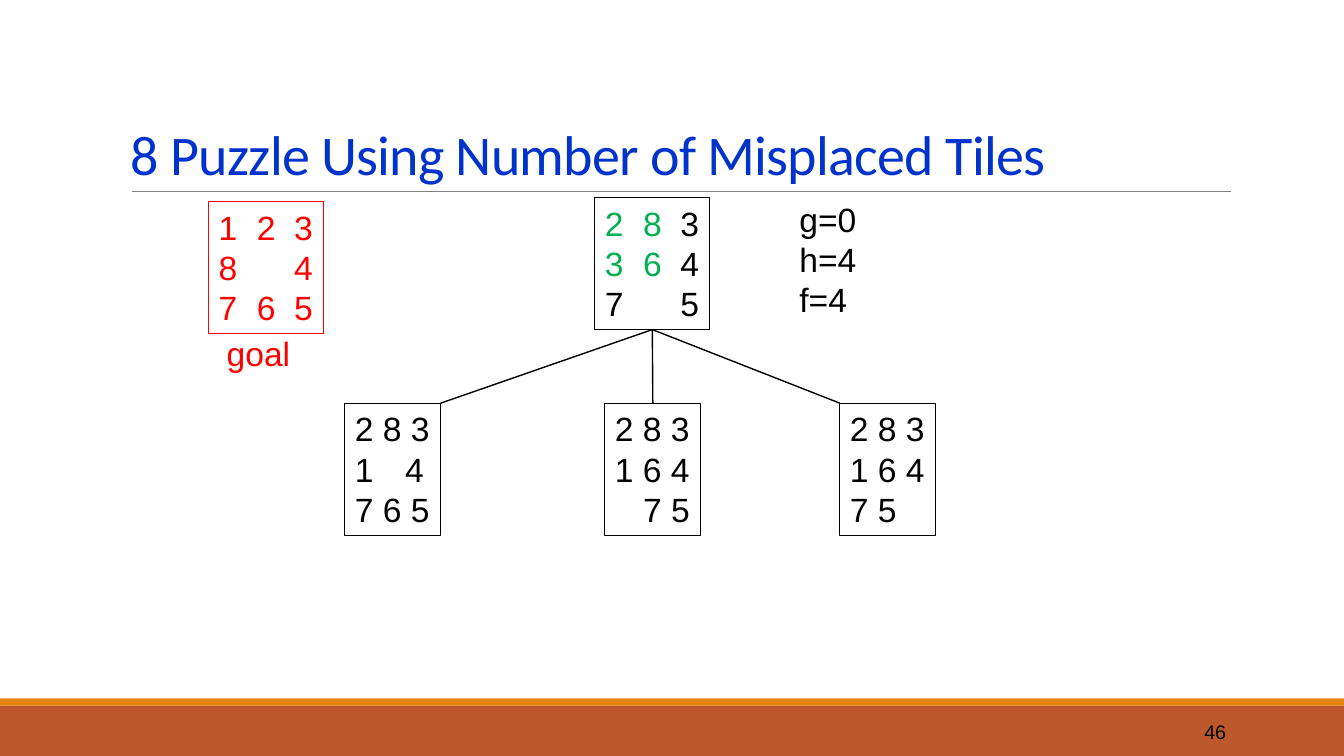
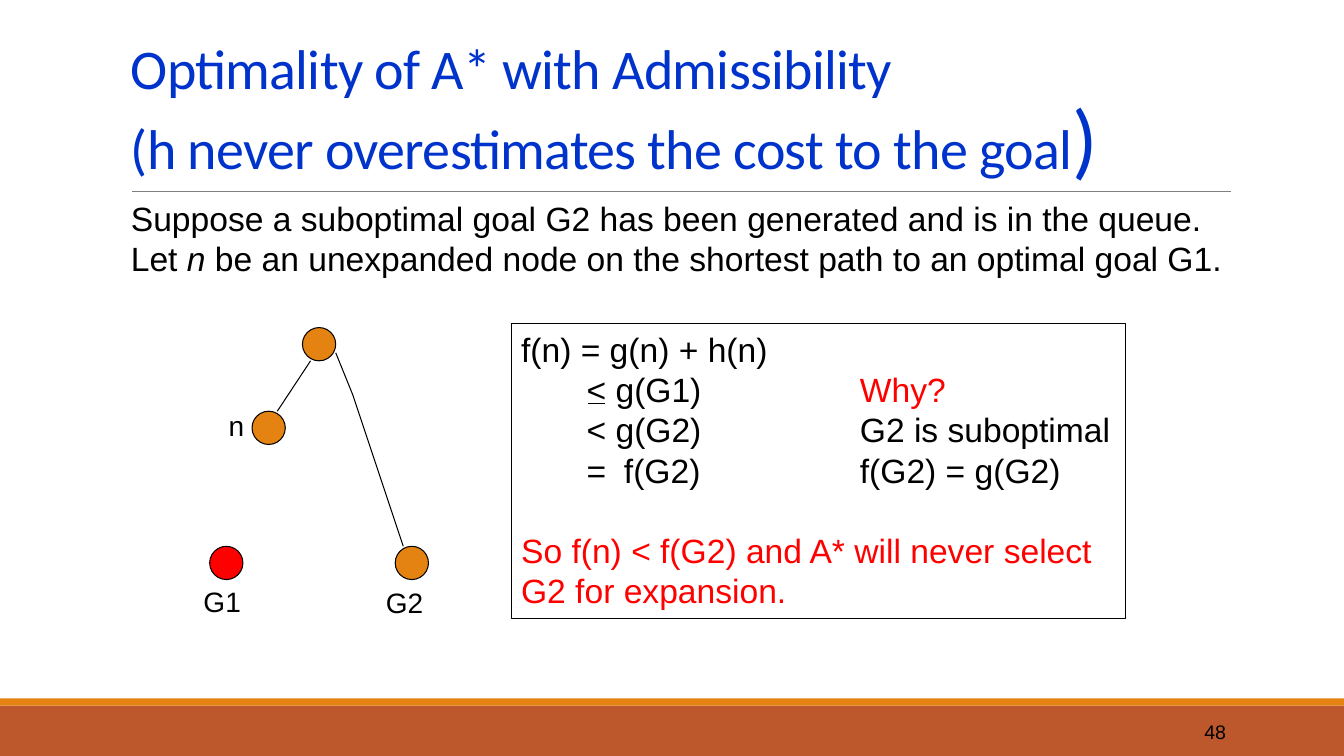
from dataclasses import dataclass

from lxml.etree import SubElement
from pptx import Presentation
from pptx.dml.color import RGBColor
from pptx.enum.shapes import MSO_CONNECTOR, MSO_SHAPE
from pptx.enum.text import MSO_ANCHOR, PP_ALIGN
from pptx.oxml.ns import qn
from pptx.util import Inches, Pt

BLACK = RGBColor(0x00, 0x00, 0x00)
RED = RGBColor(0xFF, 0x00, 0x00)
GREEN = RGBColor(0x00, 0xB0, 0x50)
BLUE = RGBColor(0x00, 0x33, 0xCC)
GREY = RGBColor(0x80, 0x80, 0x80)
RUST = RGBColor(0xBD, 0x58, 0x2C)
ORANGE = RGBColor(0xE4, 0x83, 0x12)

SLIDE_WIDTH, SLIDE_HEIGHT = 13.33, 7.5
WIDE_BOARD, NARROW_BOARD, BOARD_HEIGHT = 1.14, 0.95, 1.31
WIDE_STOPS = (0.38, 0.75)
NODE_SIZE = 0.33


@dataclass
class Piece:
    """A stretch of text with its own look."""
    text: str
    color: RGBColor = BLACK
    italic: bool = False
    size: float = 0


def add_text(slide, box, lines, size=24, font="Arial", outline=None, stops=(),
             anchor=MSO_ANCHOR.TOP, align=PP_ALIGN.LEFT):
    """Add a text box with one paragraph per line and return its shape."""
    shape = slide.shapes.add_textbox(*map(Inches, box))
    if outline is not None:
        shape.line.color.rgb = outline
        shape.line.width = Pt(0.75)
    frame = shape.text_frame
    frame.word_wrap = True
    frame.vertical_anchor = anchor
    if align == PP_ALIGN.LEFT:
        frame.margin_right = 0
    for index, line in enumerate(lines):
        paragraph = frame.add_paragraph() if index else frame.paragraphs[0]
        paragraph.alignment = align
        for piece in line:
            run = paragraph.add_run()
            run.text = piece.text
            run.font.name = font
            run.font.size = Pt(piece.size or size)
            run.font.italic = piece.italic
            run.font.color.rgb = piece.color
        if stops:
            tab_list = SubElement(paragraph._p.get_or_add_pPr(), qn("a:tabLst"))
            for stop in stops:
                SubElement(tab_list, qn("a:tab"), pos=str(Inches(stop)), algn="l")
    return shape


def add_line(slide, start, end, color=BLACK, width=0.75):
    """Draw a straight line between two points."""
    line = slide.shapes.add_connector(MSO_CONNECTOR.STRAIGHT, *map(Inches, (*start, *end)))
    line.line.color.rgb = color
    line.line.width = Pt(width)
    SubElement(line._element.spPr, qn("a:effectLst"))


def add_solid(slide, kind, box, fill, outline=None):
    """Draw a filled shape, outlined only if a colour is given."""
    shape = slide.shapes.add_shape(kind, *map(Inches, box))
    shape.shadow.inherit = False
    shape.fill.solid()
    shape.fill.fore_color.rgb = fill
    if outline is None:
        shape.line.fill.background()
    else:
        shape.line.color.rgb = outline
        shape.line.width = Pt(0.75)


def add_base_slide(presentation, title_lines, number):
    """Add a blank slide with bands, title, rule and slide number."""
    slide = presentation.slides.add_slide(presentation.slide_layouts[6])
    add_solid(slide, MSO_SHAPE.RECTANGLE, (0, 7, SLIDE_WIDTH, 0.5), RUST)
    add_solid(slide, MSO_SHAPE.RECTANGLE, (0, 6.93, SLIDE_WIDTH, 0.07), ORANGE)
    add_line(slide, (1.31, 1.9), (12.21, 1.9), GREY, 0.5)
    title = add_text(slide, (1.2, 0.31, 11, 1.59), title_lines, 40, "Calibri",
                     anchor=MSO_ANCHOR.BOTTOM)
    for paragraph in title.text_frame.paragraphs:
        paragraph.line_spacing = 0.85
        for run in paragraph.runs:
            run.font.color.rgb = BLUE
            run.font._element.set("spc", "-50")
    add_text(slide, (10.83, 7.06, 1.43, 0.4), [[Piece(str(number))]], 14,
             anchor=MSO_ANCHOR.MIDDLE, align=PP_ALIGN.RIGHT)
    return slide


def add_goal(slide, left, top):
    """Place the goal board and its caption."""
    rows = [[Piece(row, RED)] for row in ("1\t2\t3", "8\t\t4", "7\t6\t5")]
    add_text(slide, (left, top, WIDE_BOARD, BOARD_HEIGHT), rows, outline=RED, stops=WIDE_STOPS)
    add_text(slide, (left + 0.08, top + 1.25, 0.83, 0.5), [[Piece("goal", RED)]])


def add_search_tree(slide, left, top):
    """Place the start board, its costs and its three successors."""
    root_left = left + 2.48
    start_rows = [
        [Piece("2\t8", GREEN), Piece("\t3")],
        [Piece("3\t6", GREEN), Piece("\t4")],
        [Piece("7\t\t5")],
    ]
    add_text(slide, (root_left, top, WIDE_BOARD, BOARD_HEIGHT), start_rows,
             outline=BLACK, stops=WIDE_STOPS)
    costs = [[Piece(cost)] for cost in ("g=0", "h=4", "f=4")]
    add_text(slide, (left + 4.41, top - 0.04, 0.77, BOARD_HEIGHT), costs)

    root_bottom = (root_left + WIDE_BOARD / 2, top + BOARD_HEIGHT)
    child_top = top + 2.04
    successors = [
        (0, ("2 8 3", "1\t4", "7 6 5"), 0.5, 1),
        (2.58, ("2 8 3", "1 6 4", "\t7 5"), 0.28, 0.5),
        (4.91, ("2 8 3", "1 6 4", "7 5"), 0.28, 0),
    ]
    for offset, rows, stop, joint in successors:
        child_left = left + offset
        add_text(slide, (child_left, child_top, NARROW_BOARD, BOARD_HEIGHT),
                 [[Piece(row)] for row in rows], outline=BLACK, stops=(stop,))
        add_line(slide, root_bottom, (child_left + joint * NARROW_BOARD, child_top), width=1)


def add_goal_paths(slide, left, top):
    """Place the tree with node n and the goals G1 and G2."""
    for x, y, fill in ((1.08, 0, ORANGE), (0.58, 0.83, ORANGE),
                       (0.16, 2.17, RED), (2, 2.17, ORANGE)):
        add_solid(slide, MSO_SHAPE.OVAL, (left + x, top + y, NODE_SIZE, NODE_SIZE), fill, BLACK)
    for path in (((1.16, 0.33), (0.83, 0.83)),
                 ((1.41, 0.25), (1.58, 0.67), (2.08, 2.17))):
        points = [(left + x, top + y) for x, y in path]
        for start, end in zip(points, points[1:]):
            add_line(slide, start, end)
    for name, x, y in (("n", 0.25, 0.75), ("G1", 0, 2.5), ("G2", 1.81, 2.51)):
        add_text(slide, (left + x, top + y, 0.57, 0.43), [[Piece(name)]], 20)


def add_proof(slide, left, top):
    """Place the framed proof, with the underscore that makes the first sign ≤."""
    lines = [
        [Piece("f(n) = g(n) + h(n)")],
        [Piece("\t< g(G1)\t"), Piece("Why?", RED)],
        [Piece("\t< g(G2)\tG2 is suboptimal")],
        [Piece("\t=\tf(G2)\tf(G2) = g(G2)")],
        [Piece("So f(n) < f(G2) and A* will never select", RED)],
        [Piece("G2 for expansion.", RED)],
    ]
    proof = add_text(slide, (left, top, 6.09, 2.93), lines, outline=BLACK,
                     stops=(0.65, 1.02, 3.36))
    proof.text_frame.paragraphs[4].space_before = Pt(28.5)
    add_line(slide, (left + 0.76, top + 0.79), (left + 0.93, top + 0.79))


def build_puzzle_slide(presentation):
    """Build the slide on the 8 puzzle."""
    title = [[Piece("8 Puzzle Using Number of Misplaced Tiles")]]
    slide = add_base_slide(presentation, title, 46)
    add_goal(slide, 2.07, 2)
    add_search_tree(slide, 3.42, 1.96)


def build_optimality_slide(presentation):
    """Build the slide on the optimality of A*."""
    title = [
        [Piece("Optimality of A* with Admissibility")],
        [Piece("(h never overestimates the cost to the goal"), Piece(")", size=60)],
    ]
    slide = add_base_slide(presentation, title, 48)
    premise = [
        Piece("Suppose a suboptimal goal G2 has been generated and is in the queue. Let "),
        Piece("n", italic=True),
        Piece(" be an unexpanded node on the shortest path to an optimal goal G1."),
    ]
    add_text(slide, (1.2, 1.91, 11.2, 0.91), [premise])
    add_goal_paths(slide, 1.92, 3.25)
    add_proof(slide, 5.07, 3.21)


def main():
    """Build and save the presentation."""
    presentation = Presentation()
    presentation.slide_width = Inches(SLIDE_WIDTH)
    presentation.slide_height = Inches(SLIDE_HEIGHT)
    build_puzzle_slide(presentation)
    build_optimality_slide(presentation)
    presentation.save("out.pptx")


if __name__ == "__main__":
    main()
